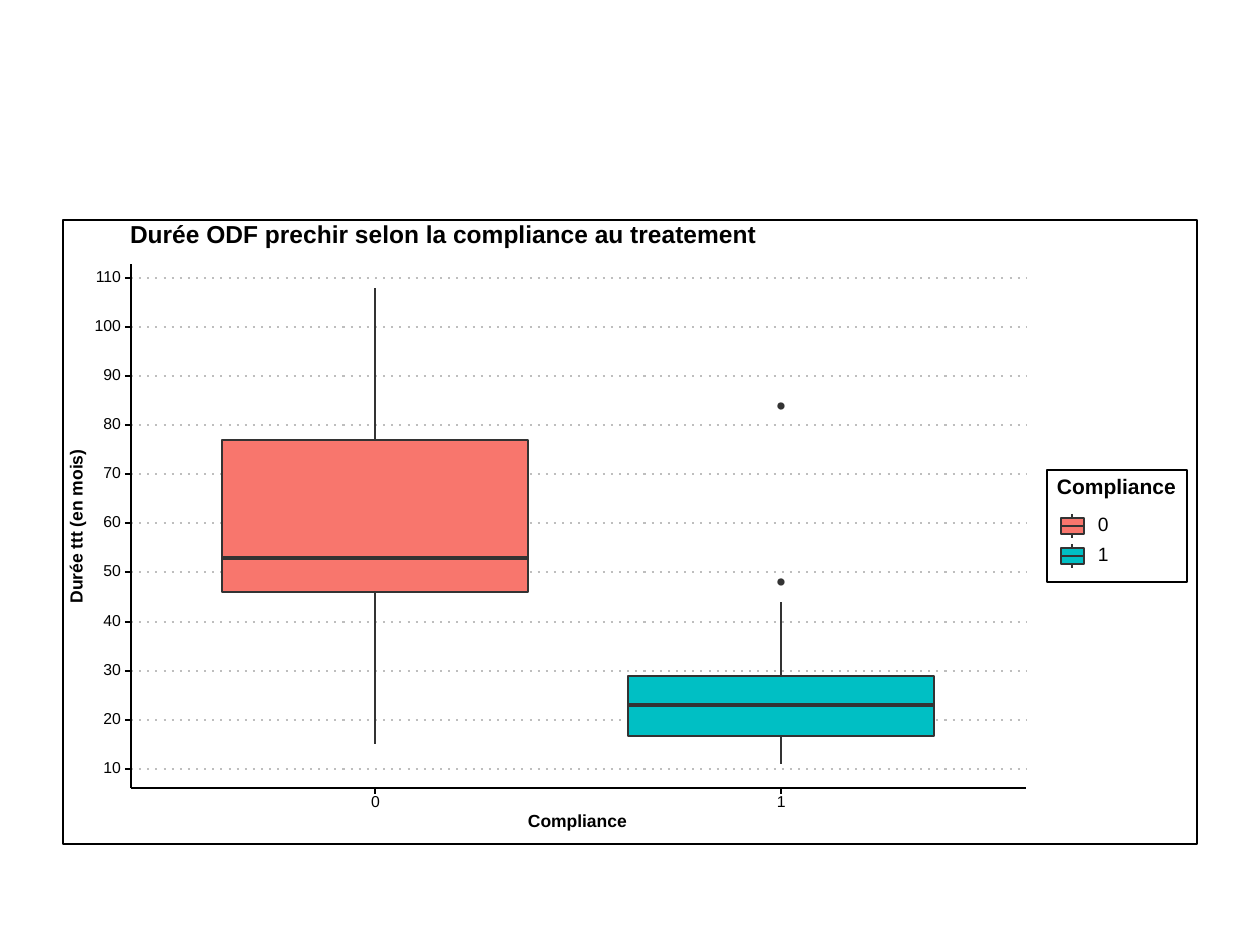
"""Builds a slide with a box plot of treatment length by compliance."""
from dataclasses import dataclass

import lxml.etree
import pptx
import pptx.dml.color
import pptx.enum.shapes
import pptx.enum.text
import pptx.oxml.ns
import pptx.util

PIXEL = 914400 // 126
COLORS = {
    "black": "000000",
    "white": "FFFFFF",
    "grid": "BEBEBE",
    "ink": "333333",
    "0": "F8766D",
    "1": "00BFC4",
}
SHAPES = pptx.enum.shapes.MSO_SHAPE
ALIGN = pptx.enum.text.PP_ALIGN
FRAME_FORMAT = {
    "margin_left": 0,
    "margin_right": 0,
    "margin_top": 0,
    "margin_bottom": 0,
    "word_wrap": False,
    "auto_size": pptx.enum.text.MSO_AUTO_SIZE.NONE,
    "vertical_anchor": pptx.enum.text.MSO_ANCHOR.MIDDLE,
}
AXIS_LEFT, AXIS_RIGHT, AXIS_TOP, AXIS_BOTTOM = 131, 1026, 264, 788
BOX_HALF = 153
TICK = 6


@dataclass(frozen=True)
class Group:
    """Holds the box plot values of one compliance group."""

    name: str
    center: int
    low: float
    lower: float
    median: float
    upper: float
    high: float
    outliers: tuple[int, ...] = ()


@dataclass(frozen=True)
class Label:
    """Holds one text with its box in pixels."""

    text: str
    left: int
    top: int
    width: int
    height: int
    size: int
    bold: bool = False
    rotation: int = 0
    align: ALIGN = ALIGN.LEFT


GROUPS = (
    Group("0", 375, 15, 46, 53, 77, 108),
    Group("1", 781, 11, 16.7, 23, 29, 44, (48, 84)),
)
TITLE = Label("Durée ODF prechir selon la compliance au treatement",
              130, 225, 660, 23, 14, True)
HEADINGS = (
    Label("Compliance", 528, 814, 100, 16, 10, True),
    Label("Durée ttt (en mois)", 0, 518, 155, 16, 10, True, 270),
    Label("Compliance", 1057, 479, 118, 19, 12, True),
)


def emu(pixels: float) -> int:
    """Turn pixels into EMU."""
    return pptx.util.Emu(round(pixels * PIXEL))


def color(name: str) -> pptx.dml.color.RGBColor:
    """Look up a named colour."""
    return pptx.dml.color.RGBColor.from_string(COLORS[name])


def level(value: float) -> int:
    """Give the height in pixels of a value on the axis."""
    return round(818 - 4.91 * value)


def set_all(target: object, values: dict) -> None:
    """Set each named attribute of the target."""
    for name, value in values.items():
        setattr(target, name, value)


def draw_line(page, start: tuple[int, int], end: tuple[int, int], ink: str,
              points: float = 1.07, dotted: bool = False) -> None:
    """Draw a straight line between two points."""
    line = page.shapes.add_connector(
        pptx.enum.shapes.MSO_CONNECTOR.STRAIGHT, *map(emu, start + end))
    line.line.color.rgb = color(ink)
    line.line.width = pptx.util.Pt(points)
    qualified = pptx.oxml.ns.qn
    properties = line.element.spPr
    if dotted:
        outline = properties.get_or_add_ln()
        lxml.etree.SubElement(outline, qualified("a:prstDash")).set("val", "dot")
    lxml.etree.SubElement(properties, qualified("a:effectLst"))


def draw_shape(page, kind: SHAPES, area: tuple[int, int, int, int],
               fill: str, ink: str, points: float = 1.07) -> None:
    """Draw a filled and outlined shape."""
    shape = page.shapes.add_shape(kind, *map(emu, area))
    shape.shadow.inherit = False
    shape.fill.solid()
    shape.fill.fore_color.rgb = color(fill)
    shape.line.color.rgb = color(ink)
    shape.line.width = pptx.util.Pt(points)


def write(box, label: Label) -> None:
    """Place and format a text holder."""
    set_all(box, {"left": emu(label.left), "top": emu(label.top),
                  "width": emu(label.width), "height": emu(label.height),
                  "rotation": label.rotation})
    set_all(box.text_frame, FRAME_FORMAT)
    para = box.text_frame.paragraphs[0]
    size = pptx.util.Pt(label.size)
    set_all(para, {"alignment": label.align, "line_spacing": size,
                   "space_before": 0})
    span = para.add_run()
    span.text = label.text
    set_all(span.font, {"name": "Arial", "size": size, "bold": label.bold})
    span.font.color.rgb = color("black")


def add_label(page, label: Label) -> None:
    """Add a label in a new text box."""
    write(page.shapes.add_textbox(0, 0, 0, 0), label)


def draw_box(page, group: Group) -> None:
    """Draw the whiskers, box, median and outliers of a group."""
    center, left = group.center, group.center - BOX_HALF
    top, bottom, middle = map(level, (group.upper, group.lower, group.median))
    draw_line(page, (center, top), (center, level(group.high)), "ink")
    draw_line(page, (center, bottom), (center, level(group.low)), "ink")
    draw_shape(page, SHAPES.RECTANGLE,
               (left, top, 2 * BOX_HALF, bottom - top), group.name, "ink")
    draw_line(page, (left, middle), (center + BOX_HALF, middle), "ink", 2.13)
    for outlier in group.outliers:
        draw_shape(page, SHAPES.OVAL,
                   (center - 3, level(outlier) - 3, 6, 6), "ink", "ink", 0.71)


def draw_key(page, group: Group, middle: int) -> None:
    """Draw the legend entry of a group."""
    draw_line(page, (1072, middle - 12), (1072, middle + 12), "ink")
    draw_shape(page, SHAPES.RECTANGLE, (1061, middle - 8, 23, 16),
               group.name, "ink")
    draw_line(page, (1061, middle), (1084, middle), "ink")
    add_label(page, Label(group.name, 1098, middle - 7, 10, 14, 11))


def main() -> None:
    """Build and save the deck."""
    deck = pptx.Presentation()
    set_all(deck, {"slide_width": emu(1260), "slide_height": emu(945)})
    page = deck.slides.add_slide(deck.slide_layouts[5])
    draw_shape(page, SHAPES.RECTANGLE, (63, 220, 1134, 624),
               "white", "black", 1.16)
    ticks = range(10, 111, 10)
    for value in ticks:
        height = level(value)
        draw_line(page, (AXIS_LEFT, height), (AXIS_RIGHT, height),
                  "grid", 1.16, True)
    for group in GROUPS:
        draw_box(page, group)
    draw_line(page, (AXIS_LEFT, AXIS_BOTTOM), (AXIS_LEFT, AXIS_TOP), "black")
    draw_line(page, (AXIS_LEFT, AXIS_BOTTOM), (AXIS_RIGHT, AXIS_BOTTOM), "black")
    for value in ticks:
        height, width = level(value), 9 * len(str(value))
        draw_line(page, (AXIS_LEFT - TICK, height), (AXIS_LEFT, height),
                  "black", 1.16)
        add_label(page, Label(str(value), 121 - width, height - 6, width, 11, 9,
                              align=ALIGN.RIGHT))
    draw_shape(page, SHAPES.RECTANGLE, (1047, 470, 140, 112),
               "white", "black", 1.16)
    for index, group in enumerate(GROUPS):
        draw_line(page, (group.center, AXIS_BOTTOM),
                  (group.center, AXIS_BOTTOM + TICK), "black", 1.16)
        add_label(page, Label(group.name, group.center - 4, 797, 9, 11, 9))
        draw_key(page, group, 526 + 30 * index)
    for heading in HEADINGS:
        add_label(page, heading)
    title = page.shapes.title
    write(title, TITLE)
    title.element.getparent().append(title.element)
    deck.save("out.pptx")


main()
